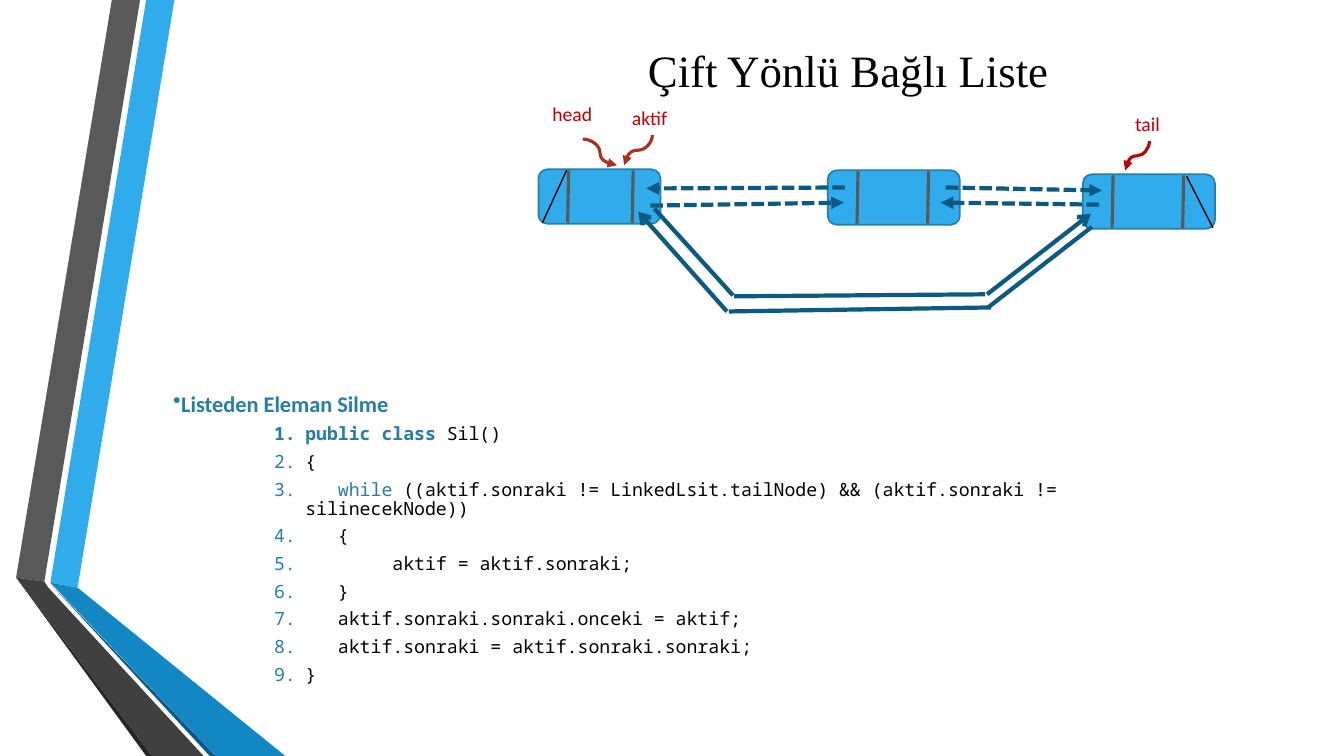
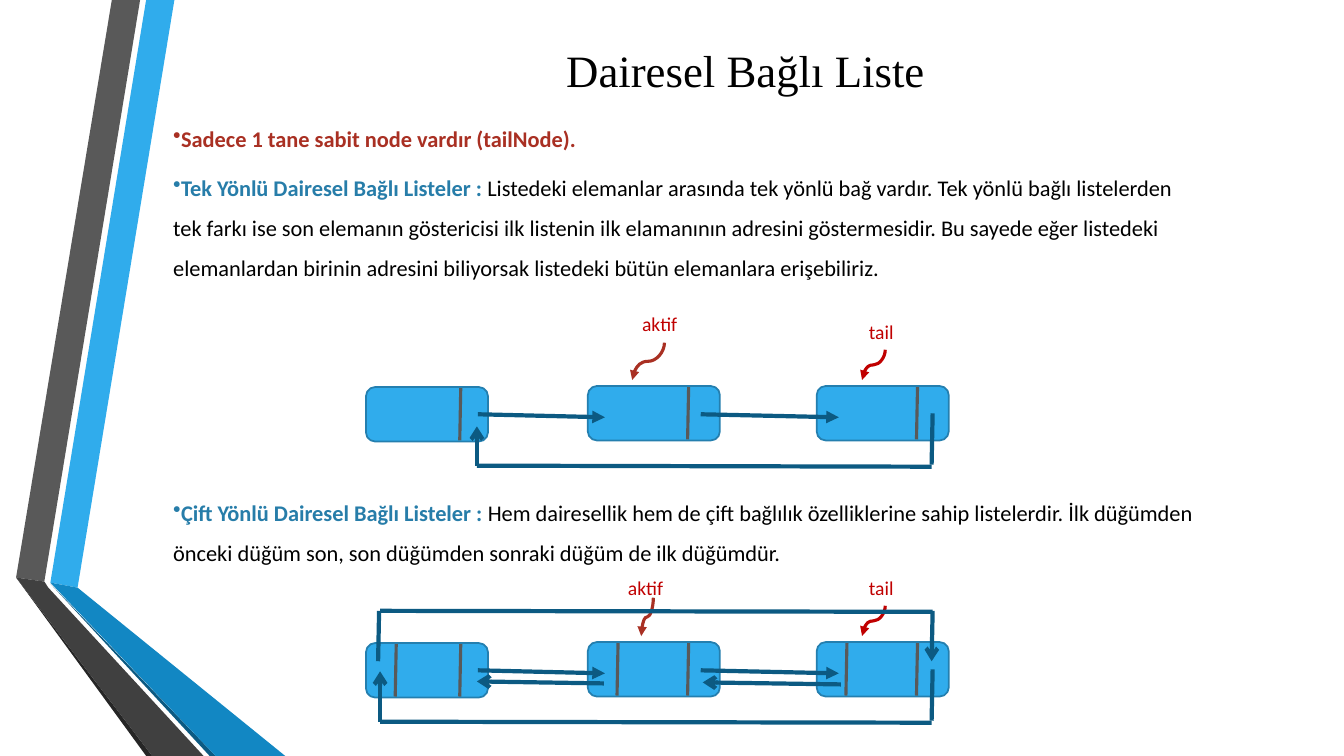
from lxml import etree
from pptx import Presentation
from pptx.dml.color import RGBColor
from pptx.enum.dml import MSO_LINE
from pptx.enum.shapes import MSO_CONNECTOR, MSO_SHAPE
from pptx.enum.text import MSO_ANCHOR, PP_ALIGN
from pptx.oxml.ns import qn
from pptx.util import Cm, Pt

STRAIGHT, CURVE = MSO_CONNECTOR.STRAIGHT, MSO_CONNECTOR.CURVE
ROUND_RECT = MSO_SHAPE.ROUNDED_RECTANGLE
DASH = MSO_LINE.SQUARE_DOT
CENTER, MIDDLE = PP_ALIGN.CENTER, MSO_ANCHOR.MIDDLE

BLACK = RGBColor(0x00, 0x00, 0x00)
SKY = RGBColor(0x30, 0xAC, 0xEC)
BLUE = RGBColor(0x12, 0x87, 0xC3)
NAVY = RGBColor(0x0C, 0x5A, 0x82)
EDGE = RGBColor(0x24, 0x7F, 0xAF)
ACCENT = RGBColor(0x27, 0x7D, 0xA9)
GRAY = RGBColor(0x59, 0x59, 0x59)
DARK = RGBColor(0x40, 0x40, 0x40)
DARKER = RGBColor(0x26, 0x26, 0x26)
RED = RGBColor(0xC0, 0x00, 0x00)
BRICK = RGBColor(0xA9, 0x30, 0x23)

TITLE = {"name": "Times New Roman", "size": Pt(32)}
BODY = {"name": "Calibri", "size": Pt(16), "bold": False}
HEADING = {**BODY, "bold": True}
LABEL = {"name": "Calibri", "size": Pt(14)}
CODE = {"name": "Noto Sans Mono", "size": Pt(13), "bold": False}
KEYWORD = {**CODE, "bold": True}

BANDS = [
    (SKY, [(0.5, 5.78), (0.77, 5.83), (1.73, 0), (1.45, 0)]),
    (GRAY, [(1.39, 0), (1.11, 0), (0.16, 5.73), (0.44, 5.77)]),
    (DARKER, [(0.16, 5.73), (1.45, 7.5), (1.51, 7.5)]),
    (NAVY, [(0.5, 5.79), (2.08, 7.5), (2.14, 7.5)]),
    (BLUE, [(0.5, 5.78), (2.14, 7.5), (2.83, 7.5), (0.77, 5.83)]),
    (DARK, [(2.02, 7.5), (0.48, 5.83), (0.44, 5.77), (0.16, 5.73), (1.51, 7.5)]),
]

CODE_LINES = [
    [("public class ", KEYWORD, ACCENT), ("Sil()", CODE, BLACK)],
    [("{", CODE, BLACK)],
    [("   ", CODE, BLACK), ("while", CODE, ACCENT),
     (" ((aktif.sonraki != LinkedLsit.tailNode) && (aktif.sonraki != "
      "silinecekNode))", CODE, BLACK)],
    [("   {", CODE, BLACK)],
    [("        aktif = aktif.sonraki;", CODE, BLACK)],
    [("   }", CODE, BLACK)],
    [("   aktif.sonraki.sonraki.onceki = aktif;", CODE, BLACK)],
    [("   aktif.sonraki = aktif.sonraki.sonraki;", CODE, BLACK)],
    [("}", CODE, BLACK)],
]

NODE_H = 0.54
FIRST_W, NODE_W = 1.21, 1.31
LEFT_CELL = 0.3
RIGHT_CELL = {FIRST_W: 0.94, NODE_W: 1.0}


def inch(value):
    """Turn a length in inches into a Cm length."""
    return Cm(value * 2.54)


def add_run(p, text, style, color):
    """Add a run with the given font values and colour."""
    r = p.add_run()
    r.text = text
    for name, value in style.items():
        setattr(r.font, name, value)
    r.font.color.rgb = color


def add_box(s, left, top, width, height):
    """Add a text box and return its text frame."""
    sp = s.shapes.add_textbox(inch(left), inch(top), inch(width), inch(height))
    return sp.text_frame


def add_paragraph(tf, runs, margin=0, level=0, **spacing):
    """Add a paragraph of (text, style, colour) runs with a hanging indent."""
    p = tf.paragraphs[0] if not tf.paragraphs[0].runs else tf.add_paragraph()
    p.level = level
    for name, value in {"space_after": Pt(6), **spacing}.items():
        setattr(p, name, value)
    for run in runs:
        add_run(p, *run)
    pPr = p._p.get_or_add_pPr()
    pPr.set("marL", str(inch(margin)))
    pPr.set("indent", str(inch(-0.31)))
    return pPr


def add_bullet(tf, runs, **spacing):
    """Add a paragraph with a round bullet."""
    pPr = add_paragraph(tf, runs, **spacing)
    etree.SubElement(pPr, qn("a:buChar")).set("char", "•")


def add_code_line(tf, runs):
    """Add a numbered line of code."""
    pPr = add_paragraph(tf, runs, margin=1.31, level=1, line_spacing=0.88)
    color = etree.SubElement(pPr, qn("a:buClr"))
    etree.SubElement(color, qn("a:srgbClr")).set("val", str(ACCENT))
    etree.SubElement(pPr, qn("a:buAutoNum")).set("type", "arabicPeriod")


def add_bands(s, layout):
    """Build the side bands and place them on the layout for all slides."""
    for i, (color, points) in enumerate(BANDS):
        (x, y), *rest = [(inch(px), inch(py)) for px, py in points]
        builder = s.shapes.build_freeform(x, y)
        builder.add_line_segments(rest)
        sp = builder.convert_to_shape()
        sp.fill.solid()
        sp.fill.fore_color.rgb = color
        sp.line.fill.background()
        sp.shadow.inherit = False
        layout.shapes.element.insert(2 + i, sp.element)


def set_title(s, text, left, width):
    """Place and format the title placeholder."""
    sp = s.shapes.title
    box = {"left": left, "top": 0.17, "width": width, "height": 1.04}
    for name, value in box.items():
        setattr(sp, name, inch(value))
    tf = sp.text_frame
    tf.vertical_anchor = MIDDLE
    tf.paragraphs[0].alignment = CENTER
    add_run(tf.paragraphs[0], text, TITLE, BLACK)


def add_line(s, start, end, color=NAVY, width=3, arrow=None, dash=None,
             kind=STRAIGHT):
    """Add a connector, with an optional arrowhead at its end."""
    c = s.shapes.add_connector(kind, *map(inch, (*start, *end)))
    c.line.color.rgb = color
    c.line.width = Pt(width)
    if dash:
        c.line.dash_style = dash
    if arrow:
        ln = c.line._get_or_add_ln()
        etree.SubElement(ln, qn("a:tailEnd")).set("type", arrow)
    etree.SubElement(c.element.spPr, qn("a:effectLst"))
    return c


def add_drop_curve(s, start, end, color):
    """Add a curved arrow that leaves downwards and ends lower on the left."""
    (x1, y1), (x2, y2) = start, end
    mid_x, mid_y = (x1 + x2) / 2, (y1 + y2) / 2
    half_w, half_h = (y2 - y1) / 2, (x1 - x2) / 2
    c = add_line(s, (mid_x - half_w, mid_y - half_h),
                 (mid_x + half_w, mid_y + half_h),
                 color, 2.25, "triangle", kind=CURVE)
    c.rotation = 90


def add_label(s, text, left, top, width):
    """Add the name of a pointer."""
    tf = add_box(s, left, top, width, 0.34)
    tf.word_wrap = False
    add_run(tf.paragraphs[0], text, LABEL, RED)


def add_node(s, x, y, w=NODE_W, double=True):
    """Add a list node with one or two pointer cells."""
    sp = s.shapes.add_shape(ROUND_RECT, *map(inch, (x, y, w, NODE_H)))
    sp.fill.solid()
    sp.fill.fore_color.rgb = SKY
    sp.line.color.rgb = EDGE
    sp.line.width = Pt(1.25)
    sp.shadow.inherit = False
    cells = [LEFT_CELL, RIGHT_CELL[w]] if double else [RIGHT_CELL[w]]
    for cell in cells:
        add_line(s, (x + cell, y + 0.01), (x + cell - 0.01, y + 0.53), GRAY, 2.25)


def add_circular_list(s, y, double, return_x, return_end):
    """Add three nodes, the tail pointer, forward links and the way back."""
    add_node(s, 5.83, y, double=double)
    add_node(s, 8.1, y, double=double)
    add_node(s, 3.63, y + 0.01, FIRST_W, double)
    add_drop_curve(s, (8.78, y - 0.36), (8.55, y - 0.06), RED)
    add_label(s, "tail", 8.52, y - 0.71, 0.47)
    for x1, x2 in [(4.74, 6), (6.95, 8.32)]:
        add_line(s, (x1, y + 0.28), (x2, y + 0.31), arrow="triangle")
    add_line(s, (9.24, y + 0.78), (9.25, y + 0.27))
    add_line(s, (9.24, y + 0.8), (return_x, y + 0.79))
    add_line(s, (return_x, y + 0.79), (return_x, y + return_end), arrow="arrow")


def build_deletion(s):
    """Fill the slide on removing a node from a doubly linked list."""
    set_title(s, "Çift Yönlü Bağlı Liste", 4.25, 8.33)
    tf = add_box(s, 1.62, 3.82, 10.4, 3.25)
    tf.word_wrap = True
    add_bullet(tf, [("Listeden Eleman Silme", HEADING, ACCENT)])
    for runs in CODE_LINES:
        add_code_line(tf, runs)

    add_node(s, 5.34, 1.68, FIRST_W)
    add_node(s, 8.21, 1.69)
    add_node(s, 10.74, 1.73)
    add_line(s, (5.38, 2.21), (5.62, 1.69), BLACK, 1)
    add_line(s, (12.03, 2.26), (11.77, 1.75), BLACK, 1)

    add_line(s, (5.78, 1.38), (6.12, 1.64), BRICK, 2.25, "triangle", kind=CURVE)
    add_drop_curve(s, (6.47, 1.34), (6.19, 1.64), BRICK)
    add_drop_curve(s, (11.4, 1.4), (11.16, 1.69), RED)
    add_label(s, "head", 5.38, 0.96, 0.63)
    add_label(s, "aktif", 6.17, 1, 0.6)
    add_label(s, "tail", 11.16, 1.06, 0.47)

    for start, end in [((6.45, 2.04), (8.37, 2.01)), ((8.38, 1.86), (6.41, 1.87)),
                       ((9.38, 1.86), (10.93, 1.89)), ((10.9, 2.03), (9.33, 2.01))]:
        add_line(s, start, end, arrow="triangle", dash=DASH)
    for start, end, arrow in [
        ((6.49, 2.07), (7.27, 2.93), None),
        ((7.28, 2.94), (9.77, 2.92), None),
        ((9.79, 2.92), (10.82, 2.12), "arrow"),
        ((10.83, 2.25), (9.8, 3.05), None),
        ((9.83, 3.05), (7.23, 3.09), None),
        ((7.21, 3.09), (6.33, 2.1), "arrow"),
    ]:
        add_line(s, start, end, arrow=arrow)


def build_circular(s):
    """Fill the slide on circular linked lists."""
    set_title(s, "Dairesel Bağlı Liste", 2.21, 10.37)
    tf = add_box(s, 1.62, 1.06, 10.4, 6.44)
    tf.word_wrap = True
    add_bullet(tf, [("Sadece 1 tane sabit node vardır (tailNode).", HEADING, BRICK)],
               line_spacing=1.5)
    add_bullet(tf, [
        ("Tek Yönlü Dairesel Bağlı Listeler : ", HEADING, ACCENT),
        ("Listedeki elemanlar arasında tek yönlü bağ vardır. Tek yönlü bağlı "
         "listelerden tek farkı ise son elemanın göstericisi ilk listenin ilk "
         "elamanının adresini göstermesidir. Bu sayede eğer listedeki "
         "elemanlardan birinin adresini biliyorsak listedeki bütün elemanlara "
         "erişebiliriz.", BODY, BLACK)], line_spacing=1.5)
    add_bullet(tf, [
        ("Çift Yönlü Dairesel Bağlı Listeler : ", HEADING, ACCENT),
        ("Hem dairesellik hem de çift bağlılık özelliklerine sahip listelerdir. "
         "İlk düğümden önceki düğüm son, son düğümden sonraki düğüm de ilk "
         "düğümdür.", BODY, BLACK)], line_spacing=1.5, space_before=Pt(140))

    add_circular_list(s, 3.83, False, 4.73, 0.4)
    add_drop_curve(s, (6.59, 3.4), (6.27, 3.77), BRICK)
    add_label(s, "aktif", 6.27, 3.05, 0.6)

    add_circular_list(s, 6.37, True, 3.77, 0.29)
    add_drop_curve(s, (6.48, 5.93), (6.36, 6.31), BRICK)
    add_label(s, "aktif", 6.13, 5.66, 0.6)
    for start, end, arrow in [
        ((5.99, 6.78), (4.73, 6.76), "arrow"),
        ((8.34, 6.79), (6.97, 6.77), "arrow"),
        ((3.75, 6.56), (3.76, 6.06), None),
        ((3.77, 6.06), (9.25, 6.07), None),
        ((9.25, 6.06), (9.24, 6.56), "arrow"),
    ]:
        add_line(s, start, end, arrow=arrow)


def main():
    """Build and save the presentation."""
    prs = Presentation()
    prs.slide_width, prs.slide_height = inch(13.33), inch(7.5)
    layout = prs.slide_layouts.get_by_name("Title Only")
    deletion, circular = [prs.slides.add_slide(layout) for _ in range(2)]
    add_bands(deletion, layout)
    build_deletion(deletion)
    build_circular(circular)
    prs.save("out.pptx")


main()
